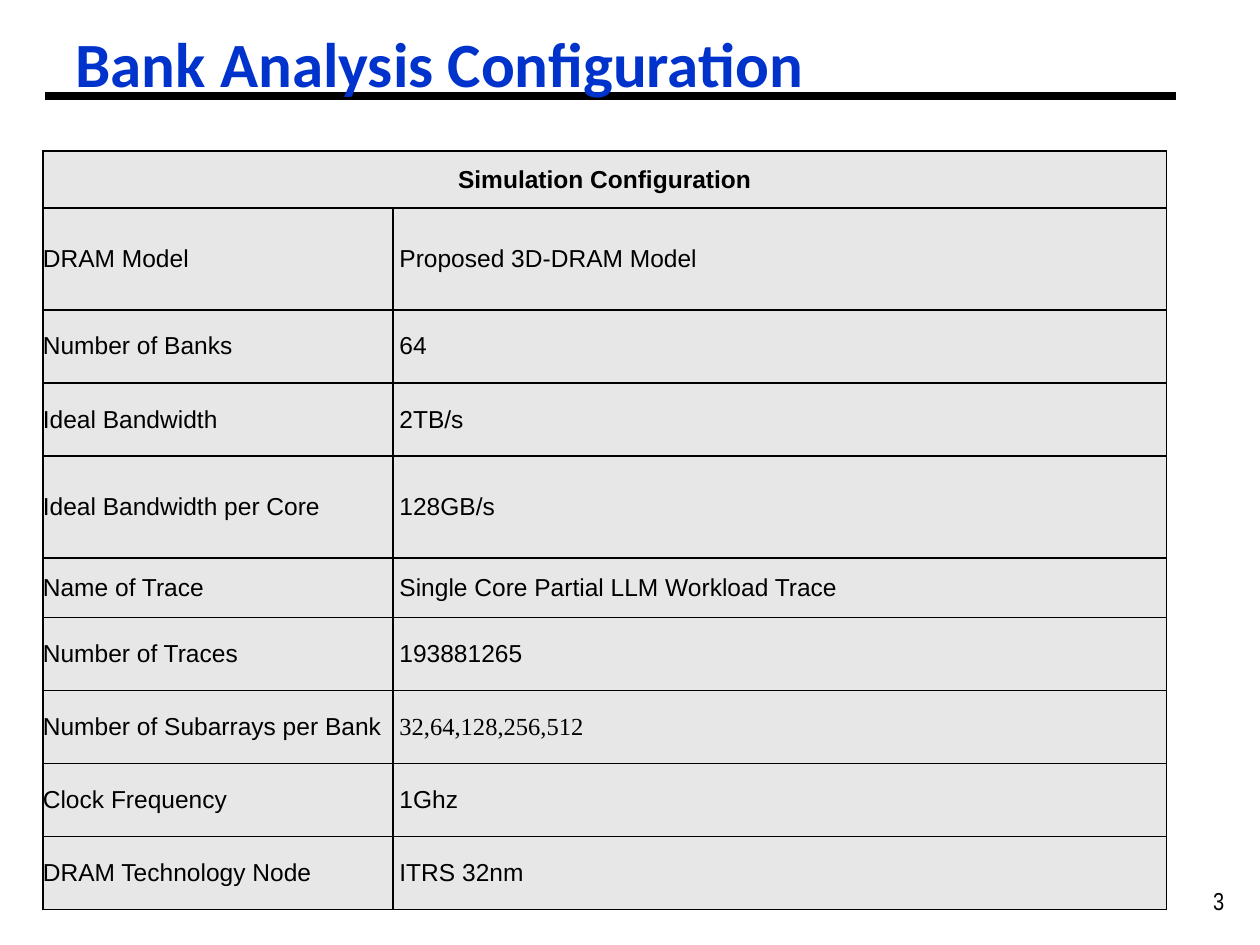
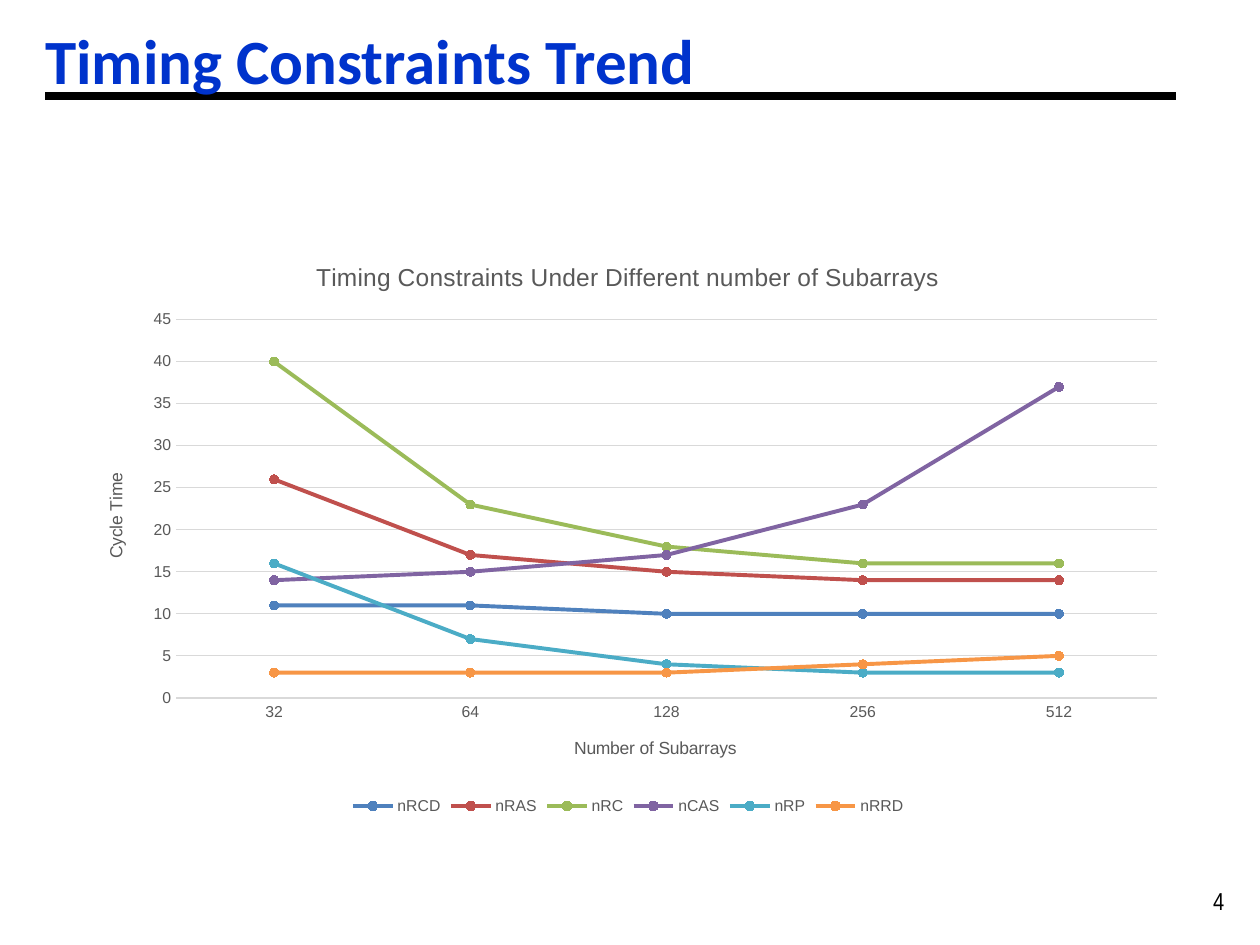
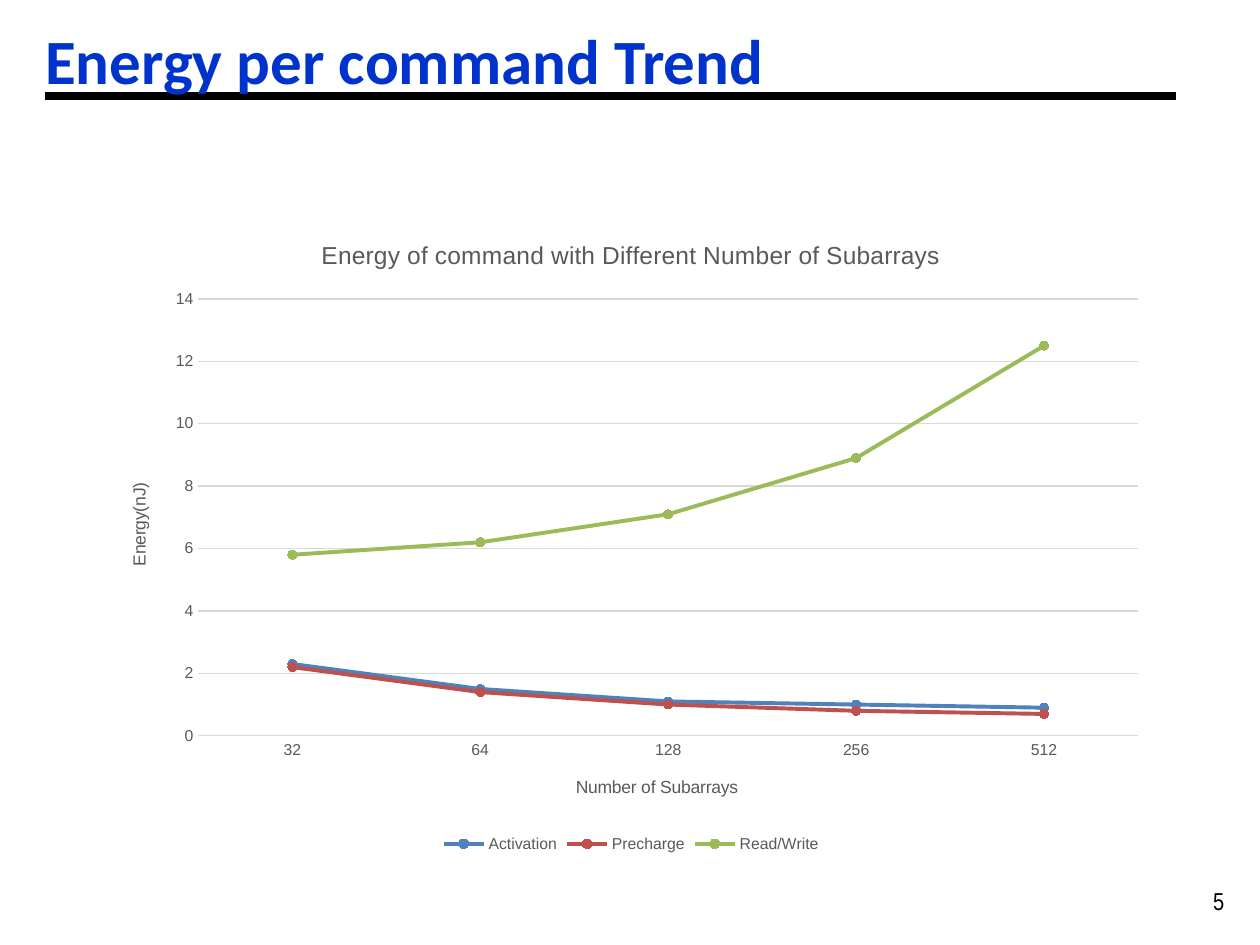
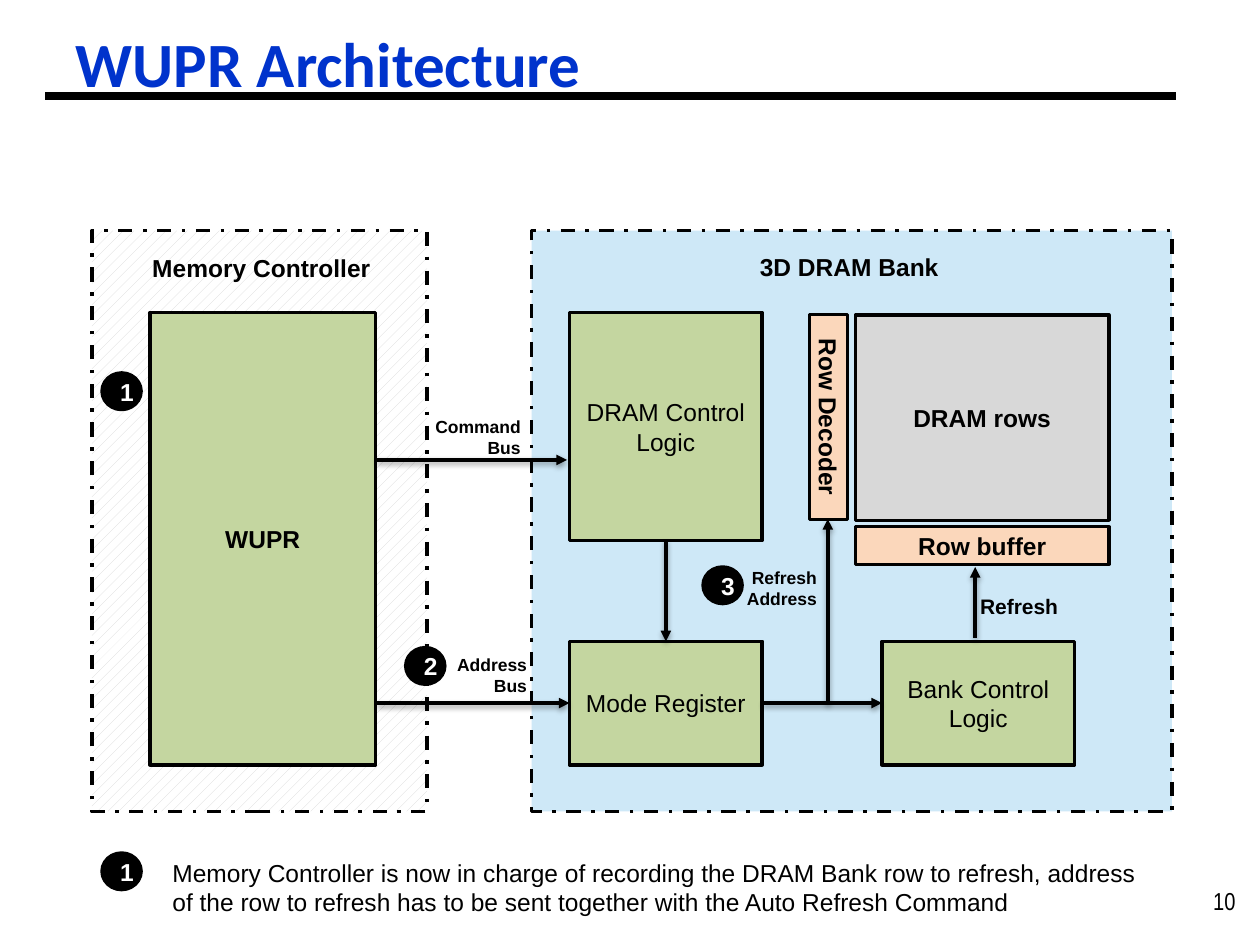
from pptx import Presentation, util as u
from pptx.chart.data import CategoryChartData
from pptx.dml.color import RGBColor
from pptx.enum import chart as ec, dml, shapes, text
from pptx.oxml import ns, parse_xml

Inches, Pt = u.Inches, u.Pt
hue = RGBColor.from_string
LEFT, MID, RIGHT = text.PP_ALIGN.LEFT, text.PP_ALIGN.CENTER, text.PP_ALIGN.RIGHT
BLACK, WHITE, BLUE = "000000", "FFFFFF", "0033CC"
GREEN, PEACH, GRAY, SKY, PALE = "C4D6A0", "FBD7BB", "D8D8D8", "CEE8F7", "E7E7E7"
INK, GRID = "595959", "D9D9D9"
TONES = ["4F81BD", "C0504D", "9BBB59", "8064A2", "4BACC6", "F79646"]
NS = ns.nsdecls("a")


def write(frame, words, size=14, bold=False, color=BLACK, align=LEFT, font="Arial"):
    """Fill a text frame, one paragraph for each line of words."""
    for i, line in enumerate(words.split("\n")):
        par = frame.add_paragraph() if i else frame.paragraphs[0]
        par.alignment = align
        run = par.add_run()
        run.text = line
        run.font.size, run.font.bold, run.font.name = Pt(size), bold, font
        run.font.color.rgb = hue(color)


def block(slide, at, fill, kind=shapes.MSO_SHAPE.RECTANGLE):
    """Add a black-lined shape without a shadow."""
    shape = slide.shapes.add_shape(kind, *map(Inches, at))
    shape.shadow.inherit = False
    shape.fill.solid()
    shape.fill.fore_color.rgb = hue(fill)
    shape.line.color.rgb = hue(BLACK)
    shape.line.width = Pt(2)
    shape.text_frame.vertical_anchor = text.MSO_ANCHOR.MIDDLE
    return shape


deck = Presentation()
deck.slide_width, deck.slide_height = Inches(10), Inches(7.5)

# Title, rule and page number of every slide
WIDE, INSET = (0.36, 0.11, 9.5, 0.71), (0.6, 0.13, 8.42, 0.71)
heads = [
    ("Bank Analysis Configuration", "3", INSET),
    ("Timing Constraints Trend", "4", WIDE),
    ("Energy per command Trend", "5", WIDE),
    ("WUPR Architecture", "10", INSET),
]
slides = []
for title, page, at in heads:
    slide = deck.slides.add_slide(deck.slide_layouts[6])
    slides.append(slide)
    num = slide.shapes.add_textbox(*map(Inches, (9.53, 6.98, 0.47, 0.33)))
    num.text_frame.word_wrap = True
    write(num.text_frame, page, font="Arial Narrow")
    rule = slide.shapes.add_connector(
        shapes.MSO_CONNECTOR.STRAIGHT, *map(Inches, (0.36, 0.76, 9.33, 0.76)))
    rule.line.color.rgb, rule.line.width = hue(BLACK), Pt(4.5)
    rule.element.spPr.append(parse_xml(f"<a:effectLst {NS}/>"))
    frame = slide.shapes.add_textbox(*map(Inches, at)).text_frame
    frame.word_wrap = True
    frame.margin_left = 0
    frame.vertical_anchor = text.MSO_ANCHOR.BOTTOM
    write(frame, title, 36, True, BLUE, font="Calibri")

# Configuration table
rows = [
    ("Simulation Configuration", "", 0.45),
    ("DRAM Model", "Proposed 3D-DRAM Model", 0.81),
    ("Number of Banks", "64", 0.58),
    ("Ideal Bandwidth", "2TB/s", 0.58),
    ("Ideal Bandwidth per Core", "128GB/s", 0.81),
    ("Name of Trace", "Single Core Partial LLM Workload Trace", 0.47),
    ("Number of Traces", "193881265", 0.58),
    ("Number of Subarrays per Bank", "32,64,128,256,512", 0.58),
    ("Clock Frequency", "1Ghz", 0.58),
    ("DRAM Technology Node", "ITRS 32nm", 0.58),
]
table = slides[0].shapes.add_table(
    len(rows), 2, *map(Inches, (0.34, 1.2, 8.92, 6.02))).table
table.columns[0].width, table.columns[1].width = Inches(2.78), Inches(6.14)
table.cell(0, 0).merge(table.cell(0, 1))
for r, (*words, high) in enumerate(rows):
    table.rows[r].height = Inches(high)
    for c, word in enumerate(words):
        cell = table.cell(r, c)
        cell.margin_left = Inches(0.05 * c)
        cell.margin_right = cell.margin_top = cell.margin_bottom = 0
        cell.vertical_anchor = text.MSO_ANCHOR.MIDDLE
        props = cell._tc.get_or_add_tcPr()
        for side in "LRTB":
            props.append(parse_xml(
                f'<a:ln{side} {NS} w="12700"><a:solidFill><a:srgbClr val="{BLACK}"/>'
                f"</a:solidFill></a:ln{side}>"))
        cell.fill.solid()
        cell.fill.fore_color.rgb = hue(PALE)
        if word:
            write(cell.text_frame, word, bold=r == 0, align=LEFT if r else MID,
                  font="Times New Roman" if word.startswith("32,") else "Arial")

# Line charts: slide, place, plot area (shares of the chart), titles, scale, series
charts = [
    (slides[1], (0.61, 1.89, 8.75, 4.62), (0.09, 0.14, 0.89, 0.65),
     "Timing Constraints Under Different number of Subarrays", "Cycle Time", 45, 5,
     {"nRCD": (11, 11, 10, 10, 10), "nRAS": (26, 17, 15, 14, 14),
      "nRC": (40, 23, 18, 16, 16), "nCAS": (14, 15, 17, 23, 37),
      "nRP": (16, 7, 4, 3, 3), "nRRD": (3, 3, 3, 4, 5)}),
    (slides[2], (0.82, 1.71, 8.38, 5.1), (0.09, 0.13, 0.89, 0.68),
     "Energy of command with Different Number of Subarrays", "Energy(nJ)", 14, 2,
     {"Activation": (2.3, 1.5, 1.1, 1, 0.9), "Precharge": (2.2, 1.4, 1, 0.8, 0.7),
      "Read/Write": (5.8, 6.2, 7.1, 8.9, 12.5)}),
]
for slide, at, plot, title, unit, top, step, series in charts:
    data = CategoryChartData()
    data.categories = ["32", "64", "128", "256", "512"]
    for name, vals in series.items():
        data.add_series(name, vals)
    chart = slide.shapes.add_chart(
        ec.XL_CHART_TYPE.LINE_MARKERS, *map(Inches, at), data).chart
    chart.font.size, chart.font.name = Pt(10), "Arial"
    chart.font.color.rgb = hue(BLACK)
    chart.has_title = True
    write(chart.chart_title.text_frame, title, color=INK, align=MID)
    chart.has_legend = True
    legend = chart.legend
    legend.position = ec.XL_LEGEND_POSITION.BOTTOM
    legend.include_in_layout = False

    cats, vals = chart.category_axis, chart.value_axis
    for axis, name in ((cats, "Number of Subarrays"), (vals, unit)):
        write(axis.axis_title.text_frame, name, 10, color=INK, align=MID)
        axis.major_tick_mark = axis.minor_tick_mark = ec.XL_TICK_MARK.NONE
    vals.axis_title.text_frame._txBody.bodyPr.set("rot", "-5400000")
    for part in (cats.tick_labels, vals.tick_labels, legend):
        part.font.size, part.font.name = Pt(9), "Arial"
        part.font.color.rgb = hue(INK)
    vals.minimum_scale, vals.maximum_scale, vals.major_unit = 0, top, step
    vals.format.line.fill.background()
    for line in (cats.format.line, vals.major_gridlines.format.line):
        line.color.rgb, line.width = hue(GRID), Pt(0.75)

    chart.plots[0].vary_by_categories = False
    for line, tone in zip(chart.plots[0].series, TONES):
        line.smooth = False
        line.format.line.color.rgb, line.format.line.width = hue(tone), Pt(2.25)
        mark = line.marker
        mark.style, mark.size = ec.XL_MARKER_STYLE.CIRCLE, 5
        mark.format.fill.solid()
        mark.format.fill.fore_color.rgb = hue(tone)
        mark.format.line.color.rgb = hue(tone)

    area = chart.element.chart.plotArea
    for old in area.findall(ns.qn("c:layout")):
        area.remove(old)
    sizes = "".join(f'<c:{k} val="{v}"/>' for k, v in zip("xywh", plot))
    area.insert(0, parse_xml(
        f'<c:layout {ns.nsdecls("c")}><c:manualLayout><c:layoutTarget val="inner"/>'
        f'<c:xMode val="edge"/><c:yMode val="edge"/>{sizes}'
        "</c:manualLayout></c:layout>"))

# Architecture diagram: dashed panels
slide = slides[3]
host = block(slide, (0.73, 1.83, 2.66, 4.61), WHITE)
host.fill.patterned()
host.fill.pattern = dml.MSO_PATTERN.DASHED_UPWARD_DIAGONAL
host.fill.fore_color.rgb, host.fill.back_color.rgb = hue(GRAY), hue(WHITE)
bank = block(slide, (4.22, 1.83, 5.08, 4.61), SKY)
for panel in (host, bank):
    panel.line.dash_style = dml.MSO_LINE.DASH_DOT

# Units inside the panels
units = [
    ("WUPR", (1.19, 2.48, 1.79, 3.59), GREEN, True),
    ("DRAM Control Logic", (4.52, 2.48, 1.53, 1.81), GREEN, False),
    ("Mode Register", (4.52, 5.09, 1.53, 0.98), GREEN, False),
    ("Bank Control Logic", (7, 5.09, 1.53, 0.98), GREEN, False),
    ("DRAM rows", (6.79, 2.5, 2.01, 1.63), GRAY, True),
    ("Row buffer", (6.79, 4.18, 2.01, 0.3), PEACH, True),
    ("Row Decoder", (5.76, 3.16, 1.63, 0.3), PEACH, True),
]
made = {}
for name, at, fill, bold in units:
    made[name] = block(slide, at, fill)
    write(made[name].text_frame, name, bold=bold, align=MID)
made["Row Decoder"].rotation = 90

# Arrows: ends, then the unit and side joined at the start and at the end
logic, mode, ctrl = (
    made[k] for k in ("DRAM Control Logic", "Mode Register", "Bank Control Logic"))
arrows = [
    ((5.28, 4.29, 5.28, 5.09), (logic, 2), (mode, 0)),
    ((6.05, 5.58, 7, 5.58), (mode, 3), (ctrl, 1)),
    ((7.74, 5.06, 7.74, 4.5), None, None),
    ((2.99, 3.65, 4.5, 3.65), None, None),
    ((2.99, 5.58, 4.52, 5.58), None, (mode, 1)),
    ((6.57, 5.58, 6.57, 4.12), None, None),
]
for ends, start, stop in arrows:
    link = slide.shapes.add_connector(
        shapes.MSO_CONNECTOR.STRAIGHT, *map(Inches, ends))
    if start:
        link.begin_connect(*start)
    if stop:
        link.end_connect(*stop)
    link.line.color.rgb, link.line.width = hue(BLACK), Pt(2)
    link.line._get_or_add_ln().append(parse_xml(f'<a:tailEnd {NS} type="triangle"/>'))
    link.element.spPr.append(parse_xml(
        f'<a:effectLst {NS}><a:outerShdw blurRad="40000" dist="20000" dir="5400000" '
        f'rotWithShape="0"><a:srgbClr val="{BLACK}"><a:alpha val="38000"/></a:srgbClr>'
        "</a:outerShdw></a:effectLst>"))

# Labels
labels = [
    ("Memory Controller", (0.96, 1.96, 2.23, 0.37), 14, True, MID),
    ("3D DRAM Bank", (3.62, 1.95, 6.24, 0.37), 14, True, MID),
    ("Command Bus", (3.28, 3.25, 0.95, 0.44), 10, True, RIGHT),
    ("Address\nBus", (3.33, 5.14, 0.95, 0.44), 10, True, RIGHT),
    ("Refresh Address", (5.63, 4.45, 0.95, 0.44), 10, True, RIGHT),
    ("Refresh", (7.68, 4.66, 1.53, 0.3), 12, True, LEFT),
    ("Memory Controller is now in charge of recording the DRAM Bank row to refresh, "
     "address of the row to refresh has to be sent together with the Auto Refresh "
     "Command", (1.27, 6.76, 7.94, 0.57), 14, False, LEFT),
]
for words, at, size, bold, align in labels:
    frame = slide.shapes.add_textbox(*map(Inches, at)).text_frame
    frame.word_wrap = True
    write(frame, words, size, bold, align=align)

# Step numbers
for step, x, y in (("1", 0.81, 2.96), ("2", 3.22, 5.14), ("3", 5.58, 4.5), ("1", 0.81, 6.77)):
    dot = block(slide, (x, y, 0.31, 0.29), BLACK, shapes.MSO_SHAPE.OVAL)
    write(dot.text_frame, step, bold=True, color=WHITE, align=MID)

deck.save("out.pptx")
